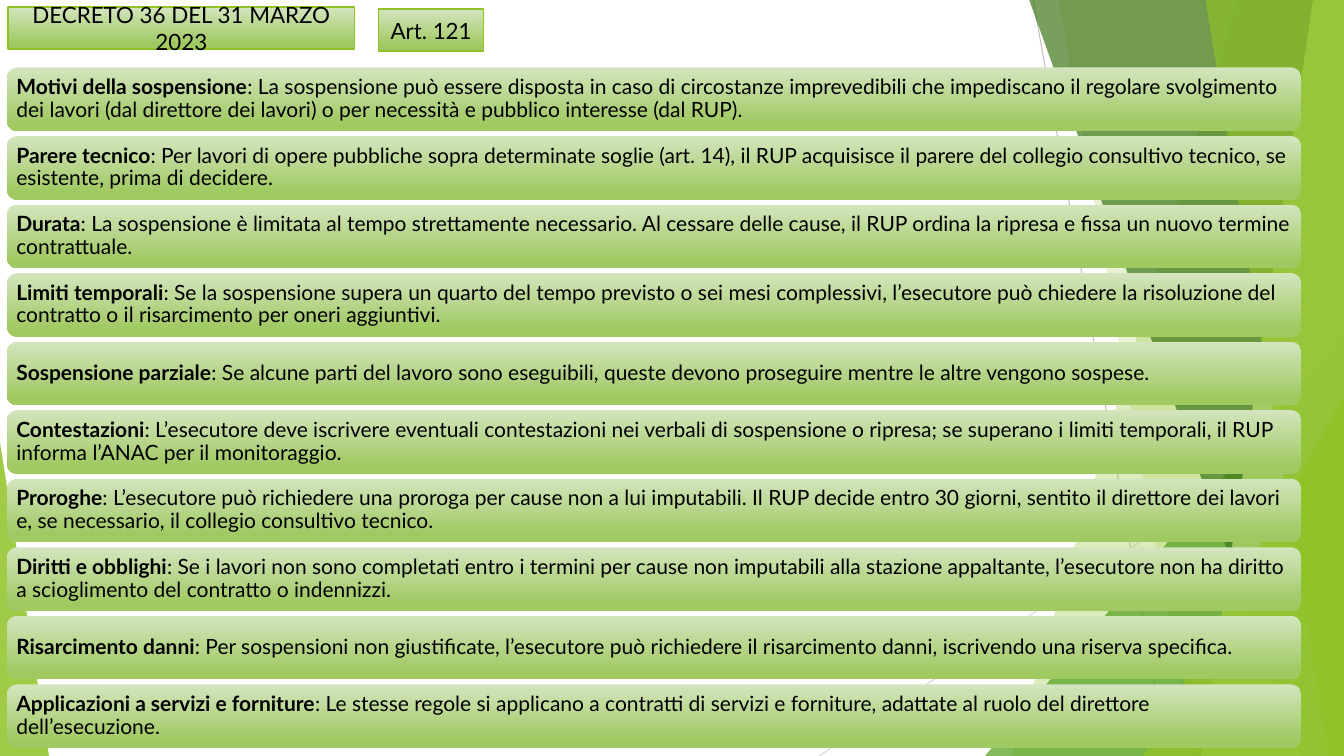
"""Build the slide on the suspension of works under article 121."""
import pptx
import pptx.dml.color
import pptx.enum.shapes
import pptx.enum.text
import pptx.oxml
import pptx.oxml.ns
import pptx.util

Pt = pptx.util.Pt
RGBColor = pptx.dml.color.RGBColor
SHAPES = pptx.enum.shapes.MSO_SHAPE
ALIGN = pptx.enum.text.PP_ALIGN

FONT = "Lato"
BLACK = RGBColor(0x00, 0x00, 0x00)
LIME = RGBColor(0x90, 0xC2, 0x26)
GREEN = RGBColor(0x54, 0xA0, 0x21)
FOREST = RGBColor(0x3F, 0x78, 0x19)
PALE_LIME = RGBColor(0xC0, 0xE4, 0x74)
BOX_TOP = RGBColor(0xD3, 0xE5, 0xBE)
BOX_BOTTOM = RGBColor(0xA0, 0xC9, 0x62)
GREY = RGBColor(0xBF, 0xBF, 0xBF)
LIGHT_GREY = RGBColor(0xD9, 0xD9, 0xD9)

PAGE_WIDTH, PAGE_HEIGHT = 960, 540
PANEL_TOP = -0.5
ROW_LEFT, ROW_TOP, ROW_WIDTH, ROW_HEIGHT, ROW_PITCH = 5, 48.2, 924.5, 45.4, 48.96

HEADERS = [
    ("DECRETO 36 DEL 31 MARZO 2023", (5.8, 5, 247.5, 30)),
    ("Art. 121", (270.5, 6.5, 75, 30)),
]

RULES = [
    ("Motivi della sospensione", ": La sospensione può essere disposta in caso di circostanze imprevedibili che impediscano il regolare svolgimento dei lavori (dal direttore dei lavori) o per necessità e pubblico interesse (dal RUP)."),
    ("Parere tecnico", ": Per lavori di opere pubbliche sopra determinate soglie (art. 14), il RUP acquisisce il parere del collegio consultivo tecnico, se esistente, prima di decidere."),
    ("Durata", ": La sospensione è limitata al tempo strettamente necessario. Al cessare delle cause, il RUP ordina la ripresa e fissa un nuovo termine contrattuale."),
    ("Limiti temporali", ": Se la sospensione supera un quarto del tempo previsto o sei mesi complessivi, l’esecutore può chiedere la risoluzione del contratto o il risarcimento per oneri aggiuntivi."),
    ("Sospensione parziale", ": Se alcune parti del lavoro sono eseguibili, queste devono proseguire mentre le altre vengono sospese."),
    ("Contestazioni", ": L’esecutore deve iscrivere eventuali contestazioni nei verbali di sospensione o ripresa; se superano i limiti temporali, il RUP informa l’ANAC per il monitoraggio."),
    ("Proroghe", ": L’esecutore può richiedere una proroga per cause non a lui imputabili. Il RUP decide entro 30 giorni, sentito il direttore dei lavori e, se necessario, il collegio consultivo tecnico."),
    ("Diritti e obblighi", ": Se i lavori non sono completati entro i termini per cause non imputabili alla stazione appaltante, l’esecutore non ha diritto a scioglimento del contratto o indennizzi."),
    ("Risarcimento danni", ": Per sospensioni non giustificate, l’esecutore può richiedere il risarcimento danni, iscrivendo una riserva specifica."),
    ("Applicazioni a servizi e forniture", ": Le stesse regole si applicano a contratti di servizi e forniture, adattate al ruolo del direttore dell’esecuzione."),
]

RAYS = [((738, 0), (834, 540), GREY), ((960, 290), (585, 540), LIGHT_GREY)]

# Panels give top and bottom x of the slanted edge; triangles give left, top, width, apex.
BACKDROP = [
    ("panel", (884, 723), LIME, 30),
    ("panel", (756, 852), LIME, 20),
    ("triangle", (703.5, 240, 256.5, 1), GREEN, 72),
    ("panel", (735, 929.5), FOREST, 70),
    ("panel", (938, 858), PALE_LIME, 70),
    ("panel", (861, 949), LIME, 65),
    ("triangle", (816.5, 283, 143.5, 1), LIME, 80),
    ("triangle", (0, 316, 35, 0), LIME, 85),
]


def add_ray(page, start, end, color):
    ray = page.shapes.add_connector(
        pptx.enum.shapes.MSO_CONNECTOR.STRAIGHT, *map(Pt, start + end))
    ray.line.color.rgb = color
    ray.line.width = Pt(0.75)
    ray._element.spPr.append(pptx.oxml.parse_xml(
        "<a:effectLst %s/>" % pptx.oxml.ns.nsdecls("a")))


def add_panel(page, top_x, bottom_x):
    builder = page.shapes.build_freeform(Pt(top_x), Pt(PANEL_TOP))
    corners = [(PAGE_WIDTH, PANEL_TOP), (PAGE_WIDTH, PAGE_HEIGHT), (bottom_x, PAGE_HEIGHT)]
    builder.add_line_segments([(Pt(x), Pt(y)) for x, y in corners], close=True)
    return builder.convert_to_shape()


def add_triangle(page, left, top, width, apex):
    triangle = page.shapes.add_shape(
        SHAPES.ISOSCELES_TRIANGLE, *map(Pt, (left, top, width, PAGE_HEIGHT - top)))
    triangle.adjustments[0] = apex
    return triangle


def paint_translucent(shape, color, opacity):
    shape.shadow.inherit = False
    shape.line.fill.background()
    shape.fill.solid()
    shape.fill.fore_color.rgb = color
    color_element = shape._element.spPr.find(".//" + pptx.oxml.ns.qn("a:srgbClr"))
    color_element.append(pptx.oxml.parse_xml(
        '<a:alpha %s val="%d"/>' % (pptx.oxml.ns.nsdecls("a"), opacity * 1000)))


def add_green_box(page, kind, place, spans, size, align):
    box = page.shapes.add_shape(kind, *map(Pt, place))
    box.shadow.inherit = False
    box.line.fill.background()
    box.fill.gradient()
    box.fill.gradient_angle = 270
    for stop, color, position in zip(box.fill.gradient_stops, (BOX_TOP, BOX_BOTTOM), (0, 0.88)):
        stop.color.rgb = color
        stop.position = position
    frame = box.text_frame
    frame.word_wrap = True
    frame.vertical_anchor = pptx.enum.text.MSO_ANCHOR.MIDDLE
    para = frame.paragraphs[0]
    para.alignment = align
    para.font.name = FONT
    para.font.size = Pt(size)
    para.font.color.rgb = BLACK
    for text, bold in spans:
        span = para.add_run()
        span.text = text
        span.font.bold = bold
    return box


def main():
    deck = pptx.Presentation()
    deck.slide_width, deck.slide_height = Pt(PAGE_WIDTH), Pt(PAGE_HEIGHT)
    page = deck.slides.add_slide(deck.slide_layouts[6])

    for start, end, color in RAYS:
        add_ray(page, start, end, color)
    makers = {"panel": add_panel, "triangle": add_triangle}
    for kind, place, color, opacity in BACKDROP:
        paint_translucent(makers[kind](page, *place), color, opacity)

    for index, (title, detail) in enumerate(RULES):
        place = (ROW_LEFT, ROW_TOP + index * ROW_PITCH, ROW_WIDTH, ROW_HEIGHT)
        row = add_green_box(page, SHAPES.ROUNDED_RECTANGLE, place,
                            [(title, True), (detail, False)], 15, ALIGN.LEFT)
        frame = row.text_frame
        frame.margin_left = frame.margin_right = Pt(4.5)
        frame.margin_top = frame.margin_bottom = Pt(4.5)
        frame.paragraphs[0].line_spacing = 0.9

    for text, place in HEADERS:
        header = add_green_box(page, SHAPES.RECTANGLE, place, [(text, False)], 16, ALIGN.CENTER)
        header.line.color.rgb = LIME
        header.line.width = Pt(1)

    deck.save("out.pptx")


if __name__ == "__main__":
    main()
